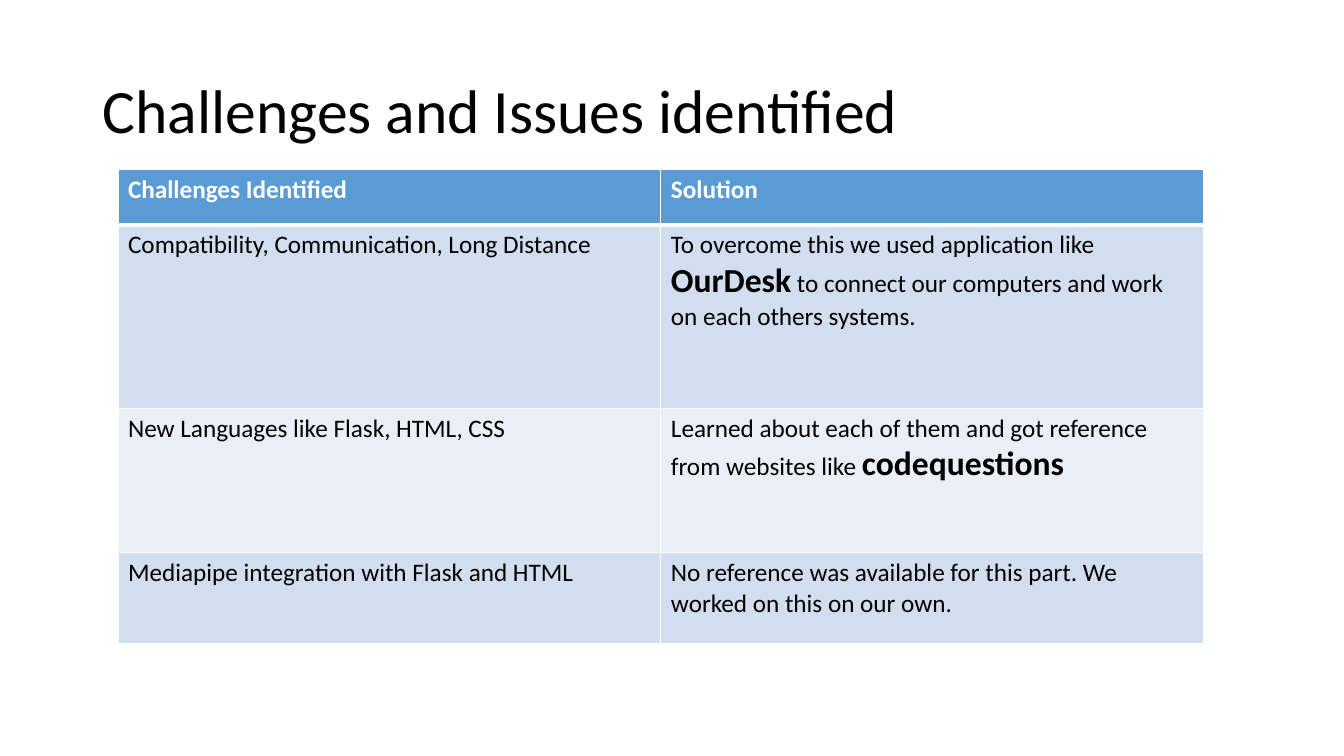
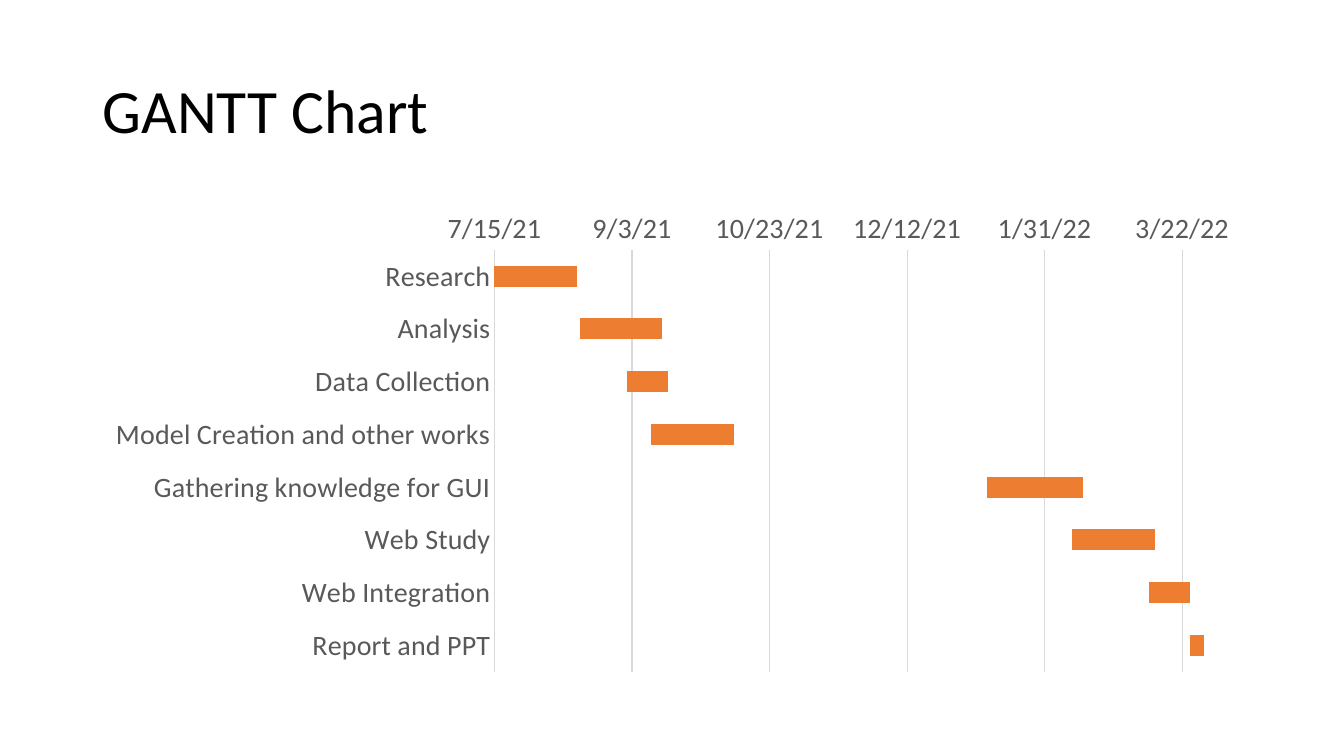
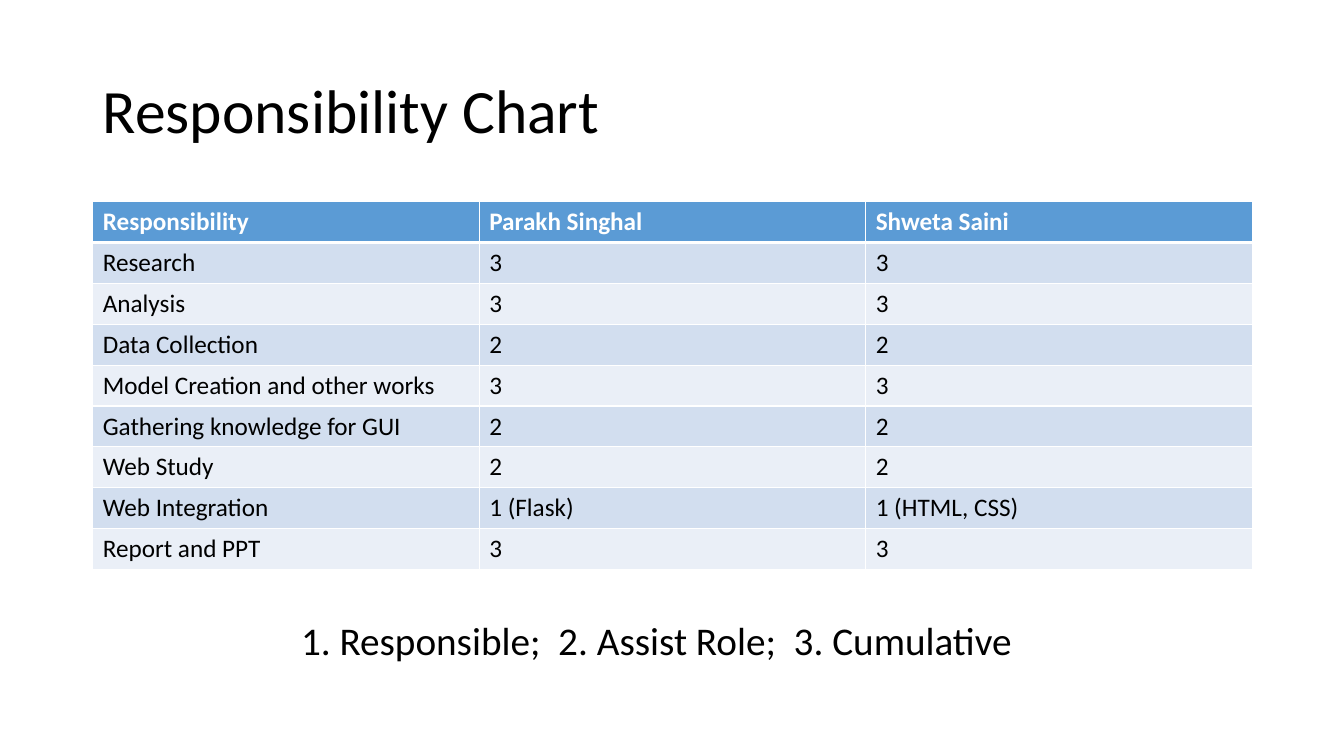
"""Build three project review slides: challenges, schedule and responsibilities."""
from dataclasses import dataclass

from lxml.etree import SubElement
from pptx import Presentation
from pptx.chart.data import CategoryChartData
from pptx.dml.color import RGBColor
from pptx.enum.chart import XL_CHART_TYPE as ChartType, XL_TICK_MARK as TickMark
from pptx.enum.text import MSO_ANCHOR as Anchor, PP_ALIGN as Align
from pptx.oxml.ns import qn
from pptx.util import Inches, Pt


@dataclass(frozen=True)
class Theme:
    font: str = "Calibri"
    text: str = "000000"
    white: str = "FFFFFF"
    header: str = "5B9BD5"
    bands: tuple = ("D2DEEF", "EAEFF7")
    bar: str = "ED7D31"
    axis_text: str = "595959"
    grid: str = "D9D9D9"
    title_size: int = 44
    legend_size: int = 28
    strong_size: int = 24
    chart_size: int = 20
    table_size: int = 18
    cell_line: int = 1
    header_line: int = 3
    grid_line: float = 0.75


THEME = Theme()
LEFT, WIDTH, TITLE_HEIGHT = 0.92, 11.5, 1.45

CHALLENGES = [
    ("Challenges Identified", "Solution"),
    ("Compatibility, Communication, Long Distance",
     ["To overcome this we used application like ", ("OurDesk",),
      " to connect our computers and work on each others systems."]),
    ("New Languages like Flask, HTML, CSS",
     ["Learned about each of them and got reference from websites like ",
      ("codequestions",)]),
    ("Mediapipe integration with Flask and HTML",
     "No reference was available for this part. We worked on this on our own."),
]
CHALLENGE_HEIGHTS = [0.55, 1.82, 1.43, 0.91]

TASKS = [
    ("Research", 44392, 30, "3", "3"),
    ("Analysis", 44423, 30, "3", "3"),
    ("Data Collection", 44440, 15, "2", "2"),
    ("Model Creation and other works", 44449, 30, "3", "3"),
    ("Gathering knowledge for GUI", 44571, 35, "2", "2"),
    ("Web Study", 44602, 30, "2", "2"),
    ("Web Integration", 44630, 15, "1 (Flask)", "1 (HTML, CSS)"),
    ("Report and PPT", 44645, 5, "3", "3"),
]
FIRST_DAY, LAST_DAY, DAY_STEP = 44392, 44650, 50
PEOPLE = ("Parakh Singhal", "Shweta Saini")
ROLE_LEGEND = "1. Responsible;  2. Assist Role;  3. Cumulative"


def style_font(font, size, color, bold=False):
    font.name = THEME.font
    font.size = Pt(size)
    font.bold = bold
    font.color.rgb = RGBColor.from_string(color)


def add_run(paragraph, text, size, color=THEME.text, bold=False):
    run = paragraph.add_run()
    run.text = text
    style_font(run.font, size, color, bold)


def add_text(slide, text, left, top, size, align=Align.LEFT):
    box = slide.shapes.add_textbox(
        Inches(left), Inches(top), Inches(WIDTH), Inches(TITLE_HEIGHT))
    frame = box.text_frame
    frame.word_wrap = True
    frame.vertical_anchor = Anchor.MIDDLE
    paragraph = frame.paragraphs[0]
    paragraph.alignment = align
    paragraph.line_spacing = 0.9
    add_run(paragraph, text, size)


def add_titled_slide(presentation, title):
    slide = presentation.slides.add_slide(presentation.slide_layouts[6])
    add_text(slide, title, LEFT, 0.4, THEME.title_size)
    return slide


def set_borders(cell, row_index):
    properties = cell._tc.get_or_add_tcPr()
    heavy_side = {0: "lnB", 1: "lnT"}.get(row_index)
    for side in ("lnL", "lnR", "lnT", "lnB"):
        points = THEME.header_line if side == heavy_side else THEME.cell_line
        line = SubElement(properties, qn(f"a:{side}"), w=str(Pt(points)))
        fill = SubElement(line, qn("a:solidFill"))
        SubElement(fill, qn("a:srgbClr"), val=THEME.white)


def fill_cell(cell, content, row_index):
    is_header = row_index == 0
    set_borders(cell, row_index)
    cell.fill.solid()
    cell.fill.fore_color.rgb = RGBColor.from_string(
        THEME.header if is_header else THEME.bands[(row_index - 1) % 2])
    paragraph = cell.text_frame.paragraphs[0]
    for part in [content] if isinstance(content, str) else content:
        if isinstance(part, tuple):
            add_run(paragraph, part[0], THEME.strong_size, bold=True)
        else:
            color = THEME.white if is_header else THEME.text
            add_run(paragraph, part, THEME.table_size, color, is_header)


def add_grid(slide, rows, left, top, width, heights):
    column_count = len(rows[0])
    table = slide.shapes.add_table(
        len(rows), column_count, Inches(left), Inches(top),
        Inches(width), Inches(sum(heights))).table
    for column in table.columns:
        column.width = Inches(width / column_count)
    for row_index, (contents, height) in enumerate(zip(rows, heights)):
        table.rows[row_index].height = Inches(height)
        for column_index, content in enumerate(contents):
            fill_cell(table.cell(row_index, column_index), content, row_index)


def style_line(line):
    line.color.rgb = RGBColor.from_string(THEME.grid)
    line.width = Pt(THEME.grid_line)


def add_gantt(slide):
    names, starts, durations, *_ = zip(*TASKS)
    data = CategoryChartData()
    data.categories = names
    data.add_series("Series 1", starts)
    data.add_series("Series 2", durations)
    chart = slide.shapes.add_chart(
        ChartType.BAR_STACKED, Inches(LEFT), Inches(2),
        Inches(WIDTH), Inches(4.76), data).chart
    chart.has_legend = False
    chart.has_title = False
    style_font(chart.font, THEME.chart_size, THEME.text)

    plot = chart.plots[0]
    plot.vary_by_categories = False
    plot.gap_width = 150
    plot.overlap = 100
    start_series, duration_series = plot.series
    start_series.format.fill.background()
    start_series.format.line.fill.background()
    duration_series.format.fill.solid()
    duration_series.format.fill.fore_color.rgb = RGBColor.from_string(THEME.bar)

    task_axis, date_axis = chart.category_axis, chart.value_axis
    for axis in (task_axis, date_axis):
        axis.major_tick_mark = axis.minor_tick_mark = TickMark.NONE
        style_font(axis.tick_labels.font, THEME.chart_size, THEME.axis_text)
    task_axis.reverse_order = True
    style_line(task_axis.format.line)
    date_axis.minimum_scale = FIRST_DAY
    date_axis.maximum_scale = LAST_DAY
    date_axis.major_unit = DAY_STEP
    date_axis.format.line.fill.background()
    date_axis.has_major_gridlines = True
    style_line(date_axis.major_gridlines.format.line)
    date_axis.tick_labels.number_format = "m/d/yy"
    date_axis.tick_labels.number_format_is_linked = False


def main():
    presentation = Presentation()
    presentation.slide_width = Inches(13.33)
    presentation.slide_height = Inches(7.5)

    slide = add_titled_slide(presentation, "Challenges and Issues identified")
    add_grid(slide, CHALLENGES, 1.17, 1.68, 10.77, CHALLENGE_HEIGHTS)

    add_gantt(add_titled_slide(presentation, "GANTT Chart"))

    slide = add_titled_slide(presentation, "Responsibility Chart")
    rows = [("Responsibility", *PEOPLE)]
    rows += [(name, *roles) for name, _, _, *roles in TASKS]
    add_grid(slide, rows, LEFT, 2, WIDTH, [3.65 / len(rows)] * len(rows))
    add_text(slide, ROLE_LEGEND, 0.76, 5.65, THEME.legend_size, Align.CENTER)

    presentation.save("out.pptx")


if __name__ == "__main__":
    main()
